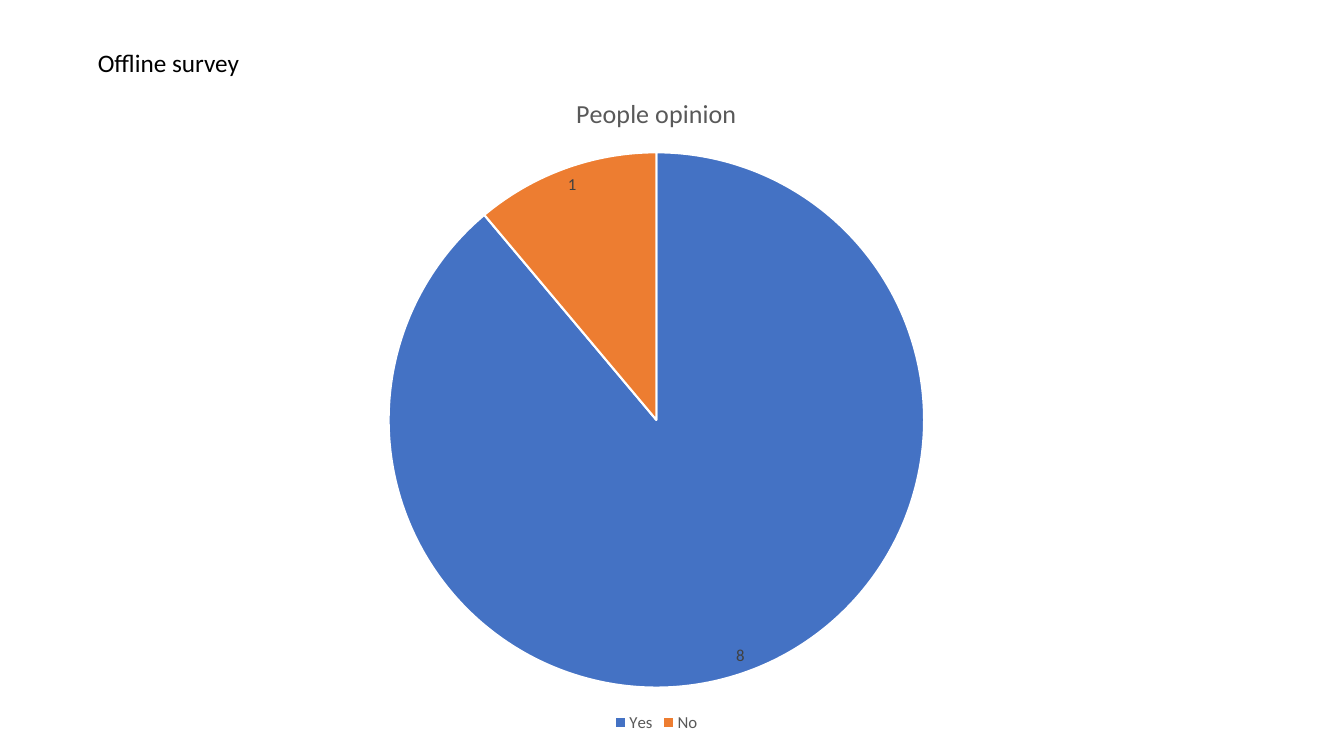
from dataclasses import dataclass

from pptx import Presentation
from pptx.chart.data import CategoryChartData
from pptx.dml.color import RGBColor
from pptx.enum.chart import XL_CHART_TYPE, XL_LABEL_POSITION, XL_LEGEND_POSITION
from pptx.enum.text import MSO_ANCHOR, PP_ALIGN
from pptx.util import Inches, Pt

# Content
HEADING = "Offline survey"
CHART_TITLE = "People opinion"
SERIES_NAME = "Series 1"
ANSWERS = {"Yes": 8, "No": 1}

# Layout in inches: left, top, width, height
SLIDE_SIZE = (13.33, 7.5)
HEADING_BOX = (0.87, 0.42, 2.17, 0.71)
CHART_BOX = (1.25, 0.71, 10.52, 6.6)


@dataclass(frozen=True)
class Theme:
    font: str = "Calibri"
    heading_size: float = 18
    chart_title_size: float = 18.6
    chart_text_size: float = 12
    heading: str = "000000"
    muted: str = "595959"
    label: str = "404040"
    border: str = "FFFFFF"
    slices: tuple = ("4472C4", "ED7D31")


THEME = Theme()


def style_font(font, size, color):
    font.name = THEME.font
    font.size = Pt(size)
    font.bold = False
    font.color.rgb = RGBColor.from_string(color)


def add_heading(slide):
    title = slide.shapes.title
    title.left, title.top, title.width, title.height = map(Inches, HEADING_BOX)
    frame = title.text_frame
    frame.word_wrap = True
    frame.vertical_anchor = MSO_ANCHOR.TOP
    paragraph = frame.paragraphs[0]
    paragraph.alignment = PP_ALIGN.LEFT
    run = paragraph.add_run()
    run.text = HEADING
    style_font(run.font, THEME.heading_size, THEME.heading)


def add_opinion_chart(slide):
    data = CategoryChartData()
    data.categories = list(ANSWERS)
    data.add_series(SERIES_NAME, list(ANSWERS.values()))
    chart = slide.shapes.add_chart(
        XL_CHART_TYPE.PIE, *map(Inches, CHART_BOX), data).chart
    style_font(chart.font, THEME.chart_text_size, THEME.muted)

    # Chart title
    chart.has_title = True
    chart.chart_title.include_in_layout = False
    run = chart.chart_title.text_frame.paragraphs[0].add_run()
    run.text = CHART_TITLE
    style_font(run.font, THEME.chart_title_size, THEME.muted)

    # Legend
    chart.has_legend = True
    chart.legend.position = XL_LEGEND_POSITION.BOTTOM
    chart.legend.include_in_layout = False
    style_font(chart.legend.font, THEME.chart_text_size, THEME.muted)

    # Slices and their values
    plot = chart.plots[0]
    plot.vary_by_categories = True
    series = plot.series[0]
    for index, color in enumerate(THEME.slices):
        slice_format = series.points[index].format
        slice_format.fill.solid()
        slice_format.fill.fore_color.rgb = RGBColor.from_string(color)
        slice_format.line.color.rgb = RGBColor.from_string(THEME.border)
        slice_format.line.width = Pt(1.5)
    labels = series.data_labels
    labels.show_value = True
    labels.show_percentage = False
    labels.position = XL_LABEL_POSITION.BEST_FIT
    style_font(labels.font, THEME.chart_text_size, THEME.label)


def main():
    presentation = Presentation()
    presentation.slide_width, presentation.slide_height = map(Inches, SLIDE_SIZE)
    title_only = presentation.slide_layouts[5]
    slide = presentation.slides.add_slide(title_only)
    add_opinion_chart(slide)
    add_heading(slide)
    presentation.save("out.pptx")


if __name__ == "__main__":
    main()
